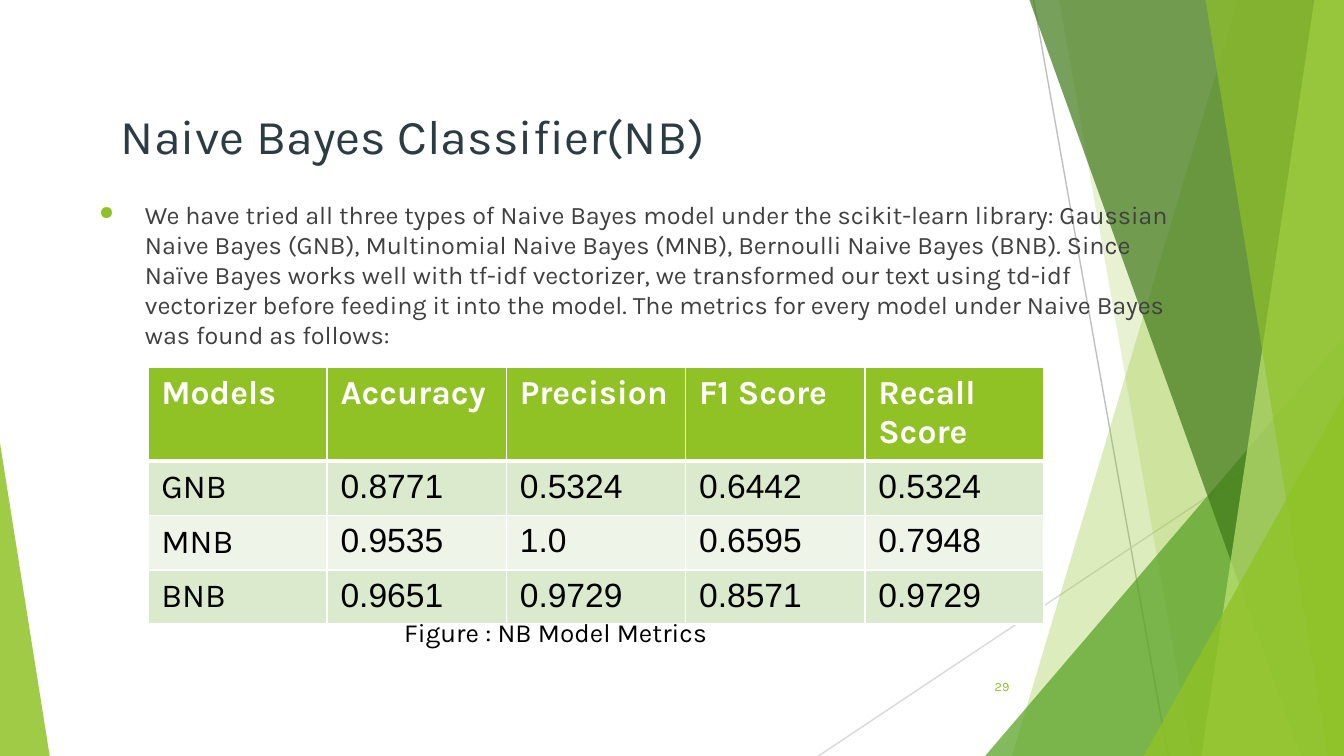
from dataclasses import dataclass
from typing import NamedTuple

from lxml.etree import SubElement
from pptx import Presentation
from pptx.dml.color import RGBColor
from pptx.enum.shapes import MSO_CONNECTOR, MSO_SHAPE
from pptx.enum.text import MSO_ANCHOR, MSO_AUTO_SIZE, PP_ALIGN
from pptx.oxml.ns import qn
from pptx.util import Inches, Pt


class Box(NamedTuple):
    left: float
    top: float
    width: float
    height: float

    def lengths(self):
        return [Inches(side) for side in self]


@dataclass(frozen=True)
class Theme:
    font: str = "Karla"
    number_font: str = "Arial"
    white: str = "FFFFFF"
    black: str = "000000"
    title: str = "2C3C43"
    body: str = "404040"
    accent: str = "90C226"
    lime: str = "C0E474"
    green: str = "54A021"
    forest: str = "3F7819"
    dark_ray: str = "BFBFBF"
    light_ray: str = "D9D9D9"
    bands: tuple = ("DBE9CD", "EEF4E8")
    title_size: float = 26
    body_size: float = 13.5
    table_size: float = 18
    caption_size: float = 14
    number_size: float = 6.8


THEME = Theme()
PAGE = Box(0, 0, 10, 10 * 9 / 16)
METRICS = [
    ["Models", "Accuracy", "Precision", "F1 Score", "Recall Score"],
    ["GNB", "0.8771", "0.5324", "0.6442", "0.5324"],
    ["MNB", "0.9535", "1.0", "0.6595", "0.7948"],
    ["BNB", "0.9651", "0.9729", "0.8571", "0.9729"],
]
EXPLANATION = (
    "We have tried all three types of Naive Bayes model under the scikit-learn "
    "library: Gaussian Naive Bayes (GNB), Multinomial Naive Bayes (MNB), Bernoulli "
    "Naive Bayes (BNB). Since Naïve Bayes works well with tf-idf vectorizer, we "
    "transformed our text using td-idf vectorizer before feeding it into the model. "
    "The metrics for every model under Naive Bayes was found as follows:"
)


def add_run(paragraph, text, size, color, font=THEME.font, bold=False):
    run = paragraph.add_run()
    run.text = text
    run.font.name = font
    run.font.size = Pt(size)
    run.font.bold = bold
    run.font.color.rgb = RGBColor.from_string(color)


def add_label(slide, box, text, size, color, align, anchor=MSO_ANCHOR.MIDDLE):
    frame = slide.shapes.add_textbox(*box.lengths()).text_frame
    frame.word_wrap = True
    frame.vertical_anchor = anchor
    paragraph = frame.paragraphs[0]
    paragraph.alignment = align
    add_run(paragraph, text, size, color)
    return frame


def set_insets(frame, inset):
    frame.margin_left = frame.margin_right = inset
    frame.margin_top = frame.margin_bottom = inset


def paint(facet, color, opacity):
    facet.shadow.inherit = False
    facet.line.fill.background()
    facet.fill.solid()
    facet.fill.fore_color.rgb = RGBColor.from_string(color)
    tint = facet.fill._xPr.find(qn("a:solidFill"))[0]
    SubElement(tint, qn("a:alpha")).set("val", str(opacity * 1000))


def add_ray(slide, start, end, color):
    ray = slide.shapes.add_connector(
        MSO_CONNECTOR.STRAIGHT, *[Inches(value) for value in (*start, *end)])
    ray.line.color.rgb = RGBColor.from_string(color)
    ray.line.width = Pt(0.75)
    SubElement(ray._element.spPr, qn("a:effectLst"))


def add_pane(slide, box, top_x, bottom_x, color, opacity):
    right, bottom = box.left + box.width, box.top + box.height
    corners = [(right, box.top), (right, bottom), (bottom_x, bottom)]
    outline = slide.shapes.build_freeform(Inches(top_x), Inches(box.top))
    outline.add_line_segments([(Inches(x), Inches(y)) for x, y in corners])
    paint(outline.convert_to_shape(), color, opacity)


def add_wedge(slide, box, apex, color, opacity):
    wedge = slide.shapes.add_shape(MSO_SHAPE.ISOSCELES_TRIANGLE, *box.lengths())
    wedge.adjustments[0] = apex
    paint(wedge, color, opacity)


def add_backdrop(slide, box):
    right, bottom = box.left + box.width, box.top + box.height

    def corner_box(width, height):
        return Box(right - width, bottom - height, width, height)

    add_ray(slide, (box.left + 7.69, box.top), (box.left + 8.69, bottom), THEME.dark_ray)
    add_ray(slide, (right, box.top + 3.02), (box.left + 6.09, bottom), THEME.light_ray)
    add_pane(slide, box, box.left + 9.21, box.left + 7.53, THEME.accent, 30)
    add_pane(slide, box, box.left + 7.88, box.left + 8.87, THEME.accent, 20)
    add_wedge(slide, corner_box(2.67, 3.12), 1, THEME.green, 72)
    add_pane(slide, box, box.left + 7.66, box.left + 9.68, THEME.forest, 70)
    add_pane(slide, box, box.left + 9.78, box.left + 8.94, THEME.lime, 70)
    add_pane(slide, box, box.left + 8.97, box.left + 9.88, THEME.accent, 65)
    add_wedge(slide, corner_box(1.49, 2.68), 1, THEME.accent, 80)
    add_wedge(slide, Box(box.left, bottom - 2.33, 0.37, 2.33), 0, THEME.accent, 85)


def place_title(slide, box, text):
    title = slide.shapes.title
    slide.shapes._spTree.append(title._element)
    title.left, title.top, title.width, title.height = box.lengths()
    frame = title.text_frame
    frame.auto_size = MSO_AUTO_SIZE.NONE
    frame.word_wrap = True
    frame.vertical_anchor = MSO_ANCHOR.TOP
    set_insets(frame, Inches(0.1))
    frame.paragraphs[0].alignment = PP_ALIGN.LEFT
    add_run(frame.paragraphs[0], text, THEME.title_size, THEME.title)


def add_explanation(slide, box, text):
    frame = add_label(slide, box, text, THEME.body_size, THEME.body,
                      PP_ALIGN.LEFT, MSO_ANCHOR.TOP)
    set_insets(frame, Inches(0.1))
    properties = frame.paragraphs[0]._p.get_or_add_pPr()
    properties.set("marL", str(Inches(0.5)))
    properties.set("indent", str(Inches(-0.34)))
    bullet_color = SubElement(properties, qn("a:buClr"))
    SubElement(bullet_color, qn("a:srgbClr")).set("val", THEME.accent)
    SubElement(properties, qn("a:buSzPct")).set("val", "75000")
    SubElement(properties, qn("a:buChar")).set("char", "●")


def add_borders(cell, bottom_width):
    properties = cell._tc.get_or_add_tcPr()
    for side, width in (("L", 1), ("R", 1), ("T", 1), ("B", bottom_width)):
        border = SubElement(properties, qn(f"a:ln{side}"), w=str(Pt(width)))
        fill = SubElement(border, qn("a:solidFill"))
        SubElement(fill, qn("a:srgbClr")).set("val", THEME.white)


def add_metrics(slide, box, rows):
    table = slide.shapes.add_table(len(rows), len(rows[0]), *box.lengths()).table
    for r, row in enumerate(rows):
        header = r == 0
        for c, value in enumerate(row):
            cell = table.cell(r, c)
            add_borders(cell, 3 if header else 1)
            cell.fill.solid()
            cell.fill.fore_color.rgb = RGBColor.from_string(
                THEME.accent if header else THEME.bands[(r - 1) % 2])
            add_run(cell.text_frame.paragraphs[0], value, THEME.table_size,
                    THEME.white if header else THEME.black,
                    THEME.font if header or c == 0 else THEME.number_font, header)


def main():
    deck = Presentation()
    deck.slide_width, deck.slide_height = Inches(PAGE.width), Inches(PAGE.height)
    slide = deck.slides.add_slide(deck.slide_layouts[5])
    add_backdrop(slide, PAGE)
    add_label(slide, Box(7.05, 4.96, 0.56, 0.3), "29", THEME.number_size,
              THEME.accent, PP_ALIGN.RIGHT)
    place_title(slide, Box(0.8, 0.69, 8.41, 0.59), "Naive Bayes Classifier(NB)")
    add_explanation(slide, Box(0.48, 1.38, 8.41, 2.87), EXPLANATION)
    add_metrics(slide, Box(1.1, 2.73, 6.67, 1.62), METRICS)
    add_label(slide, Box(2.26, 4.39, 3.75, 0.62), "Figure : NB Model Metrics",
              THEME.caption_size, THEME.black, PP_ALIGN.CENTER)
    deck.save("out.pptx")


if __name__ == "__main__":
    main()
